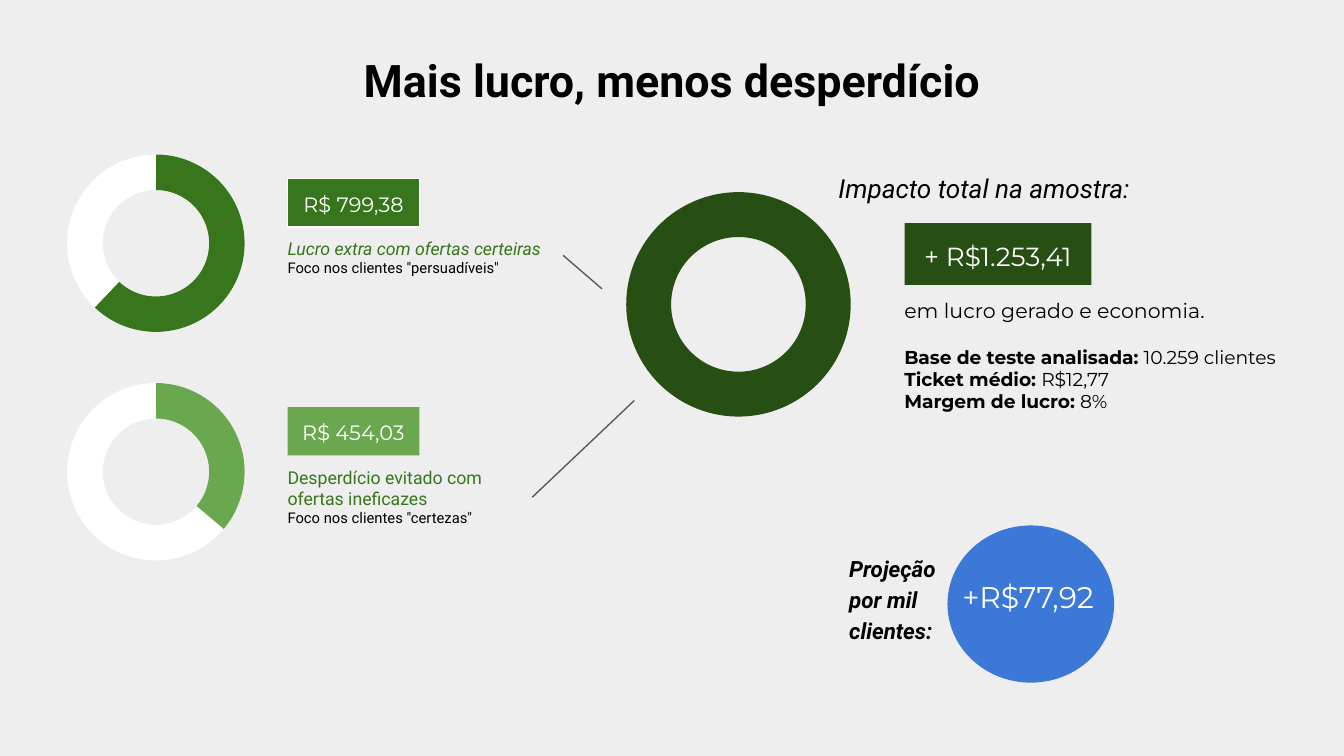
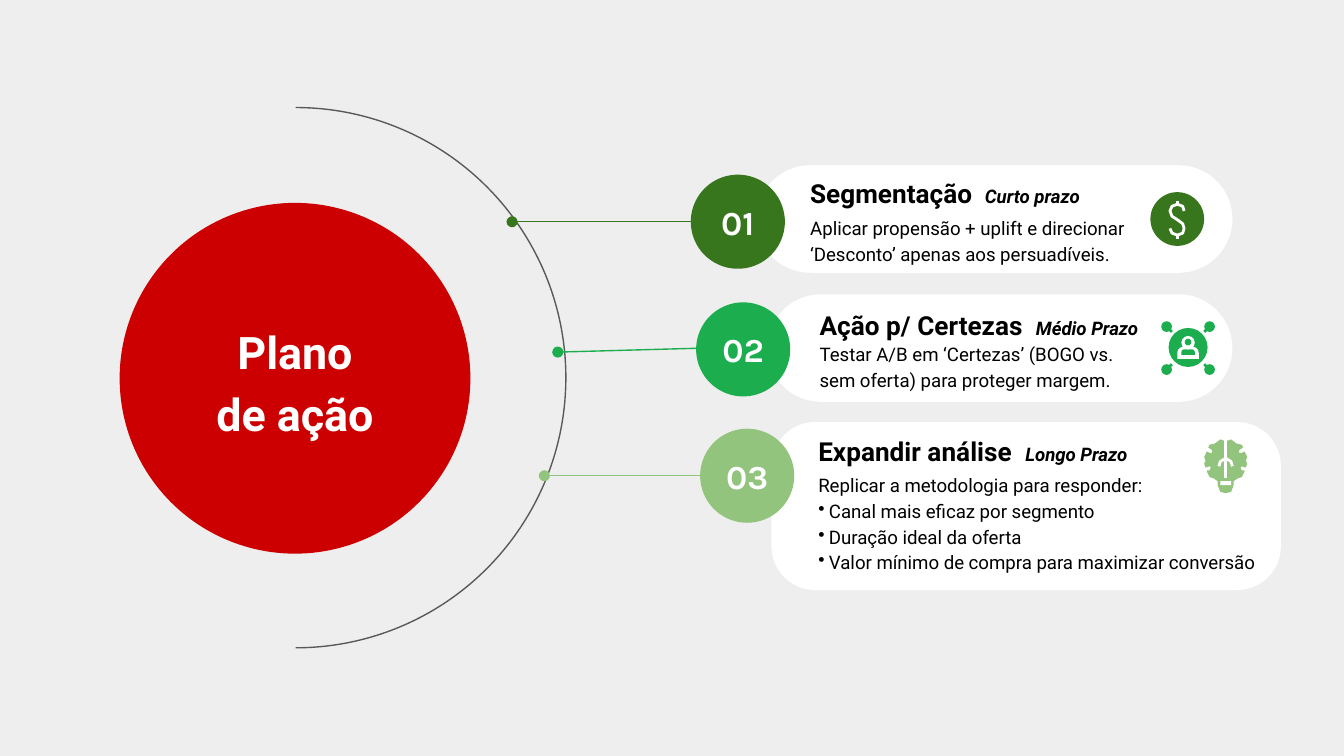
"""Builds a profit summary slide and an action plan slide."""
from lxml.etree import SubElement
from pptx import Presentation
from pptx.dml.color import RGBColor
from pptx.enum.shapes import MSO_CONNECTOR, MSO_SHAPE
from pptx.enum.text import MSO_ANCHOR, PP_ALIGN
from pptx.oxml.ns import qn
from pptx.util import Inches, Pt

C = {"bg": "EEEEEE", "black": "000000", "white": "FFFFFF", "gray": "595959",
     "dark": "274E13", "green": "38761D", "leaf": "6AA84F", "vivid": "1CAD4F",
     "pale": "93C47D", "blue": "3C78D8", "red": "CC0000"}
C = {name: RGBColor.from_string(value) for name, value in C.items()}
ALIGN = {"l": PP_ALIGN.LEFT, "c": PP_ALIGN.CENTER}
ANCHOR = {"t": MSO_ANCHOR.TOP, "m": MSO_ANCHOR.MIDDLE, "b": MSO_ANCHOR.BOTTOM}

prs = Presentation()
prs.slide_width, prs.slide_height = Inches(10), Inches(5.625)
COL = prs.slide_width / 100
ROW = prs.slide_height / 56.25


def put(s, text, at, shape=None, fill=None, line=None, adj=(), flip=False,
        font="Roboto", size=10, color="black", bold=False, italic=False,
        align="l", anchor="t", inset=1, spacing=1.0):
    """Add a text box or preset shape; text is a string or a list of paragraphs of runs."""
    x, y, w, h = at
    box = [int(v) for v in (x * COL, y * ROW, w * COL, h * ROW)]
    if shape is None:
        sp = s.shapes.add_textbox(*box)
    else:
        sp = s.shapes.add_shape(shape, *box)
        sp.shadow.inherit = False
        for i, value in enumerate(adj):
            sp.adjustments[i] = value
        if flip:
            sp._element.spPr.find(qn("a:xfrm")).set("flipH", "1")
        if fill:
            sp.fill.solid()
            sp.fill.fore_color.rgb = C[fill]
        else:
            sp.fill.background()
        if line:
            sp.line.color.rgb = C[line]
            sp.line.width = Pt(0.75)
        else:
            sp.line.fill.background()
    if not text:
        return sp
    tf = sp.text_frame
    tf.word_wrap = True
    tf.vertical_anchor = ANCHOR[anchor]
    tf.margin_left = tf.margin_right = int(inset * COL)
    tf.margin_top = tf.margin_bottom = int(inset * ROW)
    paragraphs = [[(text, {})]] if isinstance(text, str) else text
    for i, runs in enumerate(paragraphs):
        p = tf.add_paragraph() if i else tf.paragraphs[0]
        first = runs[0][1]
        pPr = p._p.get_or_add_pPr()
        if "bullet" in first:
            indent = int(first["bullet"] * COL)
            pPr.set("marL", str(indent))
            pPr.set("indent", str(-indent))
            SubElement(pPr, qn("a:buChar"), char="•")
        if "tab" in first:
            tabs = SubElement(pPr, qn("a:tabLst"))
            SubElement(tabs, qn("a:tab"), pos=str(int(first["tab"] * COL)), algn="l")
        p.alignment = ALIGN[align]
        p.line_spacing = spacing
        if "before" in first:
            p.space_before = Pt(first["before"])
        for words, own in runs:
            r = p.add_run()
            r.text = words
            r.font.name = font
            r.font.size = Pt(own.get("size", size))
            r.font.bold = own.get("bold", bold)
            r.font.italic = own.get("italic", italic)
            r.font.color.rgb = C[own.get("color", color)]
    return sp


def link(s, start, end, color, width=0.75, oval=False):
    """Draw a straight line, with an oval end if wanted."""
    ends = [int(v) for x, y in (start, end) for v in (x * COL, y * ROW)]
    sp = s.shapes.add_connector(MSO_CONNECTOR.STRAIGHT, *ends)
    sp.line.color.rgb = C[color]
    sp.line.width = Pt(width)
    if oval:
        SubElement(sp.line._get_or_add_ln(), qn("a:tailEnd"), type="oval")
    SubElement(sp._element.spPr, qn("a:effectLst"))


slides = []
for _ in range(2):
    s = prs.slides.add_slide(prs.slide_layouts[6])
    s.background.fill.solid()
    s.background.fill.fore_color.rgb = C["bg"]
    slides.append(s)
profit, plan = slides

s = profit
put(s, "", (70.5, 39.1, 12.4, 11.7), MSO_SHAPE.OVAL, "blue")
put(s, "Mais lucro, menos desperdício", (5, 3, 90, 5.3), size=24, bold=True,
    align="c", anchor="m", spacing=1.15)

small = {"size": 7.9, "color": "black", "italic": False}
gains = [
    ("R$ 799,38", "green", "white", 27.9, True, 21.3, 4.2,
     ["Lucro extra com ofertas certeiras"], "Foco nos clientes \"persuadíveis\""),
    ("R$ 454,03", "leaf", None, 83.92, False, 19, 6.2,
     ["Desperdício evitado com", "ofertas ineficazes"], "Foco nos clientes \"certezas\""),
]
for i, (value, color, line, angle, italic, w, h, heads, focus) in enumerate(gains):
    top = 11.5 + 17 * i
    ring = (5, top, 13.2, 13.2)
    put(s, "", ring, MSO_SHAPE.DONUT, "white", adj=[0.2])
    put(s, "", ring, MSO_SHAPE.BLOCK_ARC, color, adj=[angle, 161.93, 0.2], flip=True)
    put(s, value, (21.4, top + 1.8, 9.8, 3.6), MSO_SHAPE.RECTANGLE, color, line,
        font="Montserrat", size=11.1, color="white", align="c", anchor="b", inset=0.8)
    put(s, [[(head, {})] for head in heads] + [[(focus, small)]],
        (20.6, top + 5.4, w, h), size=9.5, color="green", italic=italic, inset=0.8)

put(s, "", (46.6, 14.3, 16.7, 16.7), MSO_SHAPE.DONUT, "dark", adj=[0.2])
put(s, "Impacto total na amostra:", (61.4, 11.5, 25.6, 4.4), size=14, italic=True,
    spacing=1.15)
put(s, "+ R$1.253,41", (67.3, 16.6, 13.9, 4.6), MSO_SHAPE.RECTANGLE, "dark",
    font="Montserrat", size=14, color="white", align="c", anchor="b")
strong = {"bold": True}
put(s, [[("em lucro gerado e economia.", {"size": 11})],
        [("Base de teste analisada: ", {"bold": True, "before": 12}),
         ("10.259 clientes", {})],
        [("Ticket médio: ", strong), ("R$12,77", {})],
        [("Margem de lucro: ", strong), ("8%", {})]],
    (66.3, 21.2, 31.9, 10.6), font="Montserrat")
put(s, "+R$77,92", (69.9, 38, 13.2, 12.8), font="Montserrat", size=16, color="white",
    align="c", anchor="m")
put(s, "Projeção por mil clientes:", (62.2, 40, 9.8, 8.7), size=12, bold=True,
    italic=True, spacing=1.15)
link(s, (41.9, 19), (44.8, 21.5), "gray")
link(s, (39.6, 37), (47.2, 29.8), "gray")

s = plan
put(s, "", (1.9, 8, 40.2, 40.2), MSO_SHAPE.ARC, line="gray", adj=[162, 54])
bullet = {"bullet": 0.8}
steps = [
    ("green", (56.3, 12.3, 35.4, 8), 0.5, (59.3, 13, 23.4, 2.4), 13,
     "Segmentação", "Curto prazo", (59.3, 15.5, 25.8, 4.6),
     "Aplicar propensão + uplift e direcionar ‘Desconto’ apenas aos persuadíveis.",
     (51.4, 13), (51.4, 16.5), (38.1, 16.5)),
    ("vivid", (57.1, 21.9, 34.6, 8), 0.5, (60, 22.8, 25.8, 2.4), 16.1,
     "Ação p/ Certezas", "Médio Prazo", (60, 24.9, 25.1, 4.6),
     "Testar A/B em ‘Certezas’ (BOGO vs. sem oferta) para proteger margem.",
     (51.8, 22.5), (52.4, 25.9), (41.5, 26.2)),
    ("pale", (57.4, 31.4, 37.9, 12.5), 0.26, (59.9, 32.2, 26.1, 2.4), 15.4,
     "Expandir análise", "Longo Prazo", (59.9, 34.6, 35.4, 8.5),
     [[("Replicar a metodologia para responder:", {})],
      [("Canal mais eficaz por segmento", bullet)],
      [("Duração ideal da oferta", bullet)],
      [("Valor mínimo de compra para maximizar conversão", bullet)]],
     (52.1, 31.9), (52.7, 35.4), (40.5, 35.4)),
]
for i, (color, card, adj, head_at, tab, head, term, body_at, body,
        disc, start, end) in enumerate(steps, 1):
    put(s, "", card, MSO_SHAPE.ROUNDED_RECTANGLE, "white", adj=[adj])
    put(s, [[(head, {"tab": tab}), ("\t" + term, {"size": 10, "italic": True})]],
        head_at, size=14, bold=True, anchor="m", spacing=1.15)
    put(s, body, body_at, anchor="m", spacing=1.15)
    put(s, f"{i:02}", (*disc, 7, 7), MSO_SHAPE.OVAL, color, font="Karla", size=18,
        color="white", bold=True, align="c", anchor="m", inset=0)
    link(s, start, end, color, oval=True)
put(s, [[("Plano", {})], [("de ação", {})]], (8.9, 15.1, 26.1, 26.1), MSO_SHAPE.OVAL,
    "red", size=24, color="white", bold=True, align="c", anchor="m", inset=0, spacing=1.15)

put(s, "", (85.6, 14.3, 4, 4), MSO_SHAPE.OVAL, "green")
for top in (14.95, 17.45):
    link(s, (87.6, top), (87.6, top + 0.3), "white", 1.5)

mid_x, mid_y = 88.4, 25.9
for dx in (-1, 1):
    for dy in (-1, 1):
        dot = (mid_x + 1.6 * dx, mid_y + 1.6 * dy)
        put(s, "", (dot[0] - 0.4, dot[1] - 0.4, 0.8, 0.8), MSO_SHAPE.OVAL, "vivid")
        link(s, dot, (mid_x + 1.2 * dx, mid_y + 1.2 * dy), "vivid", 1.5)
for shape, color, w, h, top in [
        (MSO_SHAPE.OVAL, "vivid", 2.9, 2.9, 24.4),
        (MSO_SHAPE.ROUND_2_SAME_RECTANGLE, "white", 1.6, 0.9, 25.8),
        (MSO_SHAPE.ROUND_2_SAME_RECTANGLE, "vivid", 1, 0.4, 26),
        (MSO_SHAPE.OVAL, "white", 1, 1, 25),
        (MSO_SHAPE.OVAL, "vivid", 0.5, 0.5, 25.2)]:
    put(s, "", (mid_x - w / 2, top, w, h), shape, color,
        adj=[0.5] if shape != MSO_SHAPE.OVAL else [])

axis = 91.2
half = [(0.1, 32.8), (0.4, 32.7), (0.8, 33), (1.2, 33.1), (1.3, 33.3), (1, 33.5),
        (1, 33.7), (1.2, 33.7), (1.4, 33.6), (1.6, 34), (1.5, 34.3), (1.6, 34.5),
        (1.5, 34.8), (1.2, 34.7), (1.1, 34.8), (1.2, 35), (1.4, 35), (1.4, 35.1),
        (1.2, 35.5), (0.9, 35.6), (0.6, 35.8), (0.6, 36.1), (0.4, 36.6), (0, 36.7)]
brain = [(axis - x, y) for x, y in half] + [(axis + x, y) for x, y in half[::-1]]
arch = [(axis + x, y) for x, y in [(-0.5, 34.7), (-0.4, 34.35), (0, 34.1),
                                   (0.4, 34.35), (0.5, 34.7)]]
dollar = [(88.1, 15.7), (88, 15.35), (87.6, 15.2), (87.2, 15.35), (87.05, 15.7),
          (87.2, 16.1), (87.6, 16.35), (88, 16.65), (88.1, 17), (88, 17.35),
          (87.6, 17.5), (87.2, 17.35), (87.05, 17)]
for points, fill in [(dollar, None), (brain, "pale"), (arch, None)]:
    points = [(x * COL, y * ROW) for x, y in points]
    fb = s.shapes.build_freeform(*points[0])
    fb.add_line_segments(points[1:], close=bool(fill))
    sp = fb.convert_to_shape()
    sp.shadow.inherit = False
    if fill:
        sp.fill.solid()
        sp.fill.fore_color.rgb = C[fill]
        sp.line.fill.background()
    else:
        sp.fill.background()
        sp.line.color.rgb = C["white"]
        sp.line.width = Pt(1.5)
link(s, (axis, 32.7), (axis, 35.6), "white", 1.5)
put(s, "", (axis - 0.4, 35.8, 0.8, 0.3), MSO_SHAPE.RECTANGLE, "white")

prs.save("out.pptx")
